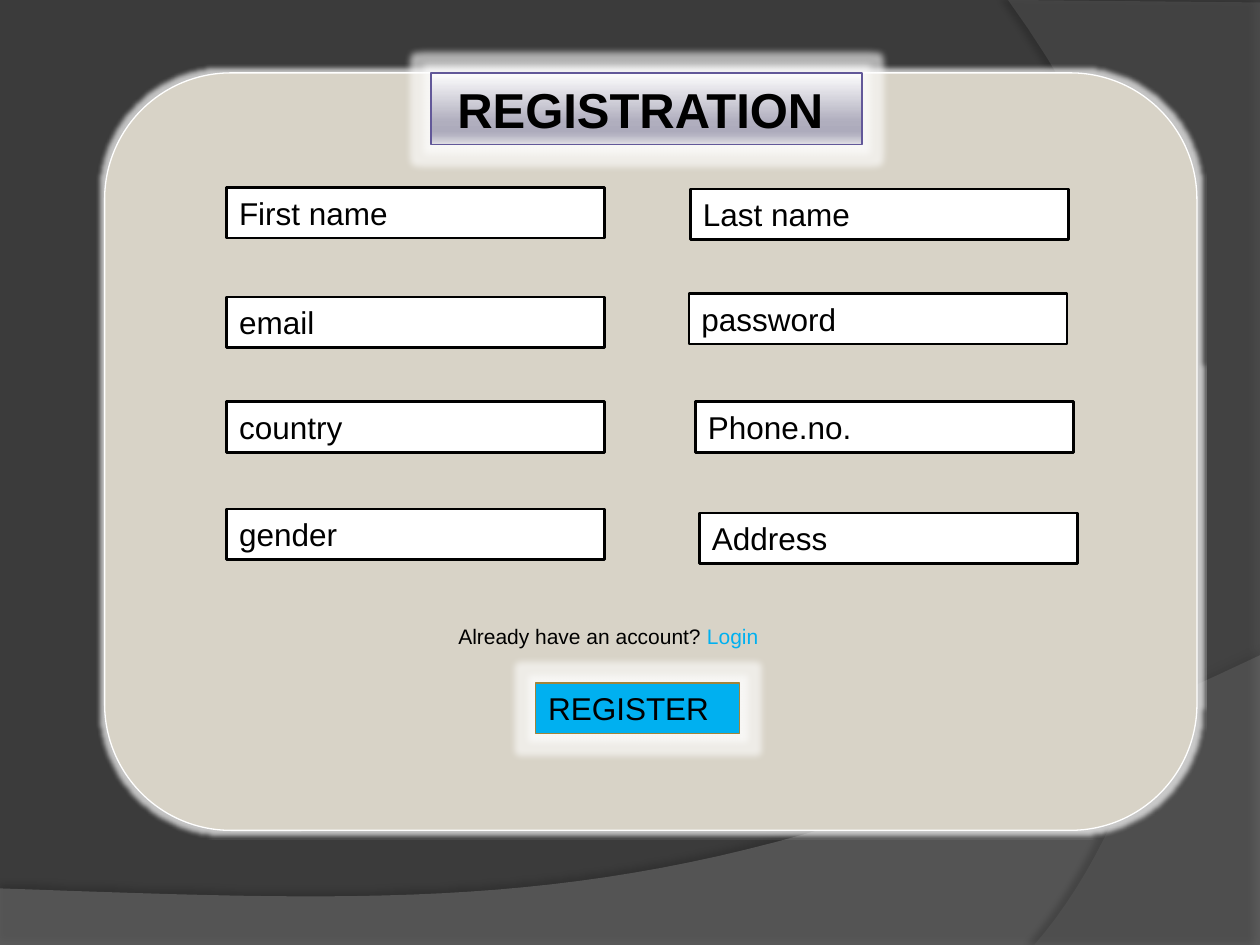
from lxml import etree
from pptx import Presentation
from pptx import util as u
from pptx.dml.color import RGBColor
from pptx.enum import shapes, text
from pptx.oxml.ns import qn

COLORS = {
    "background": "3B3B3B", "wave": "7F7F7F", "side": "5E5E5E",
    "card": "D8D3C7", "white": "FFFFFF", "black": "000000",
    "accent": "00B0F0", "title line": "625899", "button line": "A1843A",
}
TITLE_STOPS = [(0, "FEFEFE"), (68, "B0AEBE"), (81, "ADABBC"), (86, "B5B3C2"), (100, "E0DFE4")]
FIELD_SIZE = (7.62, 1.02)
# Label, left and top within the card
FIELDS = [
    ("First name", 2.46, 2.31), ("Last name", 11.81, 2.34),
    ("email", 2.46, 4.52), ("password", 11.78, 4.45),
    ("country", 2.46, 6.63), ("Phone.no.", 11.91, 6.63),
    ("gender", 2.46, 8.79), ("Address", 11.99, 8.87),
]


def rgb(name):
    return RGBColor.from_string(COLORS[name])


def add_color(parent, value, opacity=100):
    color = etree.SubElement(parent, qn("a:srgbClr"), val=value)
    if opacity < 100:
        etree.SubElement(color, qn("a:alpha"), val=str(opacity * 1000))


def add_effect(shape, kind, opacity, color, **attributes):
    shape.shadow.inherit = False
    effects = shape.element.spPr.find(qn("a:effectLst"))
    effect = etree.SubElement(effects, qn(kind), {k: str(v) for k, v in attributes.items()})
    add_color(effect, COLORS[color], opacity)


def add_glow(shape, points, opacity):
    add_effect(shape, "a:glow", opacity, "white", rad=u.Pt(points))


def add_box(slide, box, fill, line, line_width=0.75, kind=shapes.MSO_SHAPE.RECTANGLE):
    shape = slide.shapes.add_shape(kind, *map(u.Cm, box))
    shape.shadow.inherit = False
    shape.fill.solid()
    shape.fill.fore_color.rgb = rgb(fill)
    shape.line.color.rgb = rgb(line)
    shape.line.width = u.Pt(line_width)
    return shape


def write_text(shape, runs, size, bold=False, indent=0.25):
    frame = shape.text_frame
    frame.word_wrap = True
    frame.vertical_anchor = text.MSO_ANCHOR.MIDDLE
    frame.margin_left = u.Cm(indent)
    paragraph = frame.paragraphs[0]
    paragraph.alignment = text.PP_ALIGN.LEFT
    for words, color in runs:
        run = paragraph.add_run()
        run.text = words
        run.font.name = "Arial"
        run.font.size = u.Pt(size)
        run.font.bold = bold
        run.font.color.rgb = rgb(color)


def bezier(start, control_1, control_2, end, steps=40):
    points = []
    for step in range(steps + 1):
        t = step / steps
        weights = ((1 - t) ** 3, 3 * t * (1 - t) ** 2, 3 * t * t * (1 - t), t ** 3)
        points.append(tuple(
            sum(w * c for w, c in zip(weights, axis))
            for axis in zip(start, control_1, control_2, end)))
    return points


def add_outline(slide, points, fill, opacity):
    first, *others = [(u.Cm(x), u.Cm(y)) for x, y in points]
    builder = slide.shapes.build_freeform(*first, scale=1.0)
    builder.add_line_segments(others, close=True)
    shape = builder.convert_to_shape()
    shape.fill.solid()
    shape.fill.fore_color.rgb = rgb(fill)
    color = shape.element.spPr.find(qn("a:solidFill"))[0]
    etree.SubElement(color, qn("a:alpha"), val=str(opacity * 1000))
    shape.line.fill.background()
    return shape


def build_background(slide, width, height):
    slide.background.fill.solid()
    slide.background.fill.fore_color.rgb = rgb("background")
    # Wave along the bottom
    curve = bezier((width, 13.21), (14.2, 18.52), (9.93, 18.26), (0, 17.91))
    wave = add_outline(slide, curve + [(0, height), (width, height)], "wave", 45)
    add_effect(wave, "a:outerShdw", 35, "black",
               blurRad=u.Pt(4), dist=u.Pt(3.5), dir=270 * 60000)
    # Curved panel on the right
    curve = bezier((20.85, height), (23.75, 15.72), (25.86, 7.62), (20.32, 0))
    side = add_outline(slide, curve + [(width, 0.05), (width, height)], "side", 40)
    add_effect(side, "a:outerShdw", 45, "black",
               blurRad=u.Pt(4), dist=u.Pt(4), dir=180 * 60000)


def build_title(slide, box):
    title = add_box(slide, box, "white", "title line")
    properties = title.element.spPr
    gradient = etree.Element(qn("a:gradFill"), rotWithShape="1")
    stops = etree.SubElement(gradient, qn("a:gsLst"))
    for position, color in TITLE_STOPS:
        add_color(etree.SubElement(stops, qn("a:gs"), pos=str(position * 1000)), color)
    etree.SubElement(gradient, qn("a:lin"), ang=str(90 * 60000), scaled="0")
    properties.replace(properties.find(qn("a:solidFill")), gradient)
    add_glow(title, 8, 60)
    write_text(title, [("REGISTRATION", "black")], 28, bold=True, indent=0.53)


def build_form(slide, box):
    left, top, _, _ = box
    card = add_box(slide, box, "card", "white", kind=shapes.MSO_SHAPE.ROUNDED_RECTANGLE)
    add_glow(card, 5, 70)

    # Input fields
    for label, x, y in FIELDS:
        field = add_box(slide, (left + x, top + y, *FIELD_SIZE), "white", "black", 1.5)
        write_text(field, [(label, "black")], 18)

    build_title(slide, (left + 6.58, top, 8.69, 1.45))

    # Login prompt
    prompt = slide.shapes.add_textbox(*map(u.Cm, (left + 6.88, top + 10.98, 7.62, 0.76)))
    write_text(prompt, [("Already have an account? ", "black"), ("Login", "accent")], 12)

    # Register button
    button = add_box(slide, (left + 8.69, top + 12.3, 4.11, 1.02), "accent", "button line")
    add_glow(button, 8, 60)
    write_text(button, [("REGISTER", "black")], 18)


def main():
    width, height = 25.4, 19.05
    presentation = Presentation()
    presentation.slide_width = u.Cm(width)
    presentation.slide_height = u.Cm(height)
    slide = presentation.slides.add_slide(presentation.slide_layouts[6])
    build_background(slide, width, height)
    build_form(slide, (2.11, 1.47, 22.02, 15.27))
    presentation.save("out.pptx")


if __name__ == "__main__":
    main()
